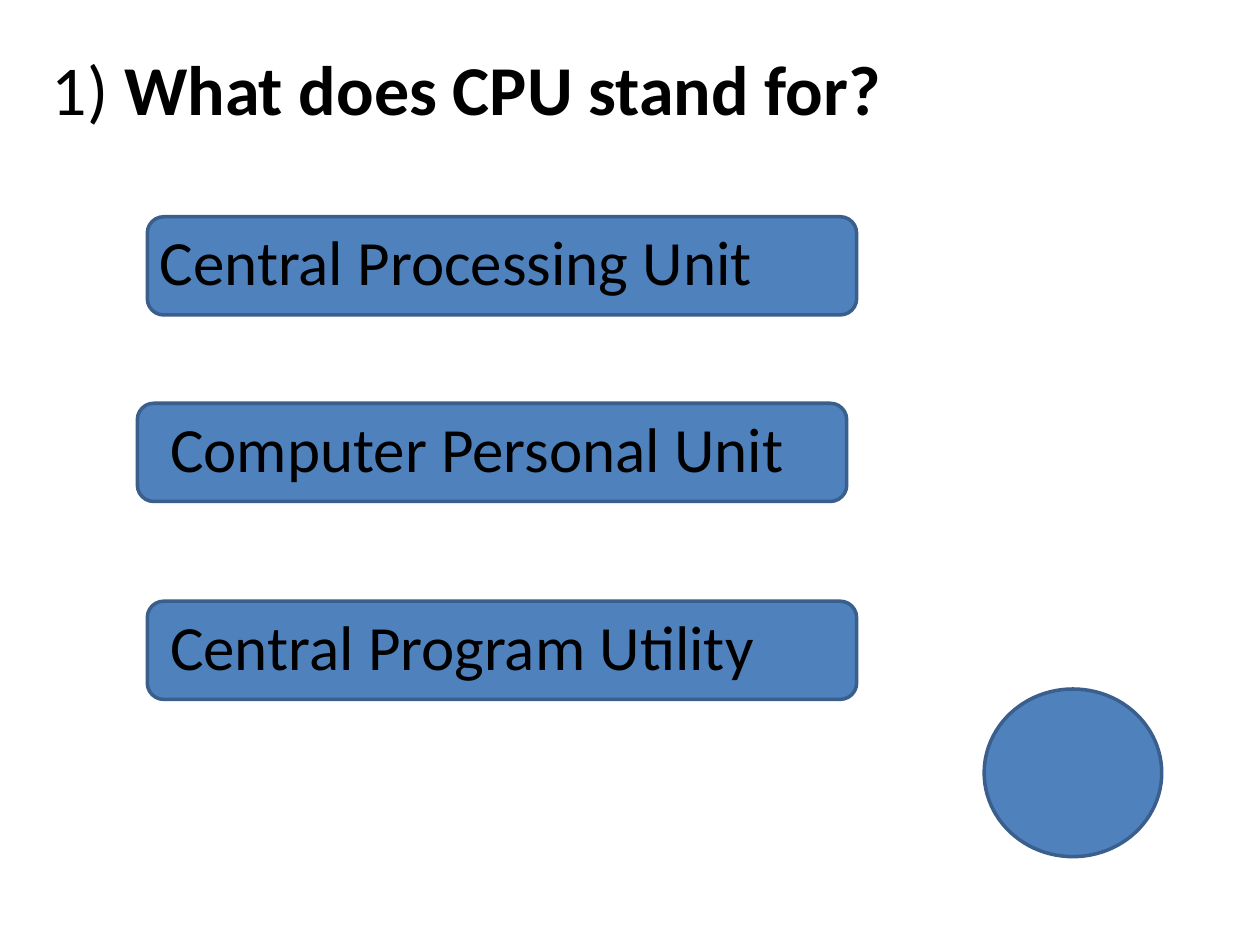
from dataclasses import dataclass

from pptx import Presentation
from pptx.dml.color import RGBColor
from pptx.enum.shapes import MSO_SHAPE
from pptx.enum.text import MSO_ANCHOR, MSO_AUTO_SIZE, PP_ALIGN
from pptx.slide import Slide
from pptx.util import Cm, Pt

BLUE = RGBColor(0x4F, 0x81, 0xBD)
EDGE = RGBColor(0x3A, 0x5F, 0x8C)
BLACK = RGBColor(0, 0, 0)
FONT = "Calibri"


@dataclass
class Answer:
    """One answer button; lengths in centimetres."""
    text: str
    top: float
    bar_left: float
    text_left: float


ANSWERS = [
    Answer("Central Processing Unit", 4.37, 2.97, 2.97),
    Answer("Computer Personal Unit", 8.13, 2.77, 3.18),
    Answer("Central Program Utility", 12.12, 2.97, 3.18),
]


def add_blue_shape(s: Slide, kind: MSO_SHAPE, left: float, top: float,
                   width: float, height: float) -> None:
    """Draw a blue shape with a darker edge."""
    sp = s.shapes.add_shape(kind, Cm(left), Cm(top), Cm(width), Cm(height))
    sp.shadow.inherit = False
    sp.fill.solid()
    sp.fill.fore_color.rgb = BLUE
    sp.line.color.rgb = EDGE
    sp.line.width = Pt(2)


def add_answer(s: Slide, answer: Answer) -> None:
    """Draw an answer bar and its label."""
    add_blue_shape(s, MSO_SHAPE.ROUNDED_RECTANGLE, answer.bar_left, answer.top, 14.3, 1.98)
    sp = s.shapes.add_textbox(Cm(answer.text_left), Cm(answer.top), Cm(12.9), Cm(1.8))
    tf = sp.text_frame
    tf.word_wrap = True
    tf.auto_size = MSO_AUTO_SIZE.SHAPE_TO_FIT_TEXT
    p = tf.paragraphs[0]
    p.text = answer.text
    p.font.name = FONT
    p.font.size = Pt(36)
    p.font.color.rgb = BLACK


def set_title(s: Slide, number: str, question: str) -> None:
    """Place the question, with its number in regular weight."""
    sp = s.shapes.title
    sp.left, sp.top, sp.width, sp.height = Cm(0.79), Cm(0.79), Cm(23.01), Cm(1.96)
    tf = sp.text_frame
    tf.vertical_anchor = MSO_ANCHOR.TOP
    tf.auto_size = MSO_AUTO_SIZE.SHAPE_TO_FIT_TEXT
    p = tf.paragraphs[0]
    p.alignment = PP_ALIGN.LEFT
    p.font.name = FONT
    p.font.size = Pt(40)
    p.font.color.rgb = BLACK
    p.add_run().text = number
    r = p.add_run()
    r.text = f" {question}"
    r.font.bold = True


prs = Presentation()
prs.slide_width, prs.slide_height = Cm(25.4), Cm(19.05)
s = prs.slides.add_slide(prs.slide_layouts[5])
set_title(s, "1)", "What does CPU stand for?")
for answer in ANSWERS:
    add_answer(s, answer)
add_blue_shape(s, MSO_SHAPE.OVAL, 19.84, 13.89, 3.58, 3.38)
prs.save("out.pptx")
